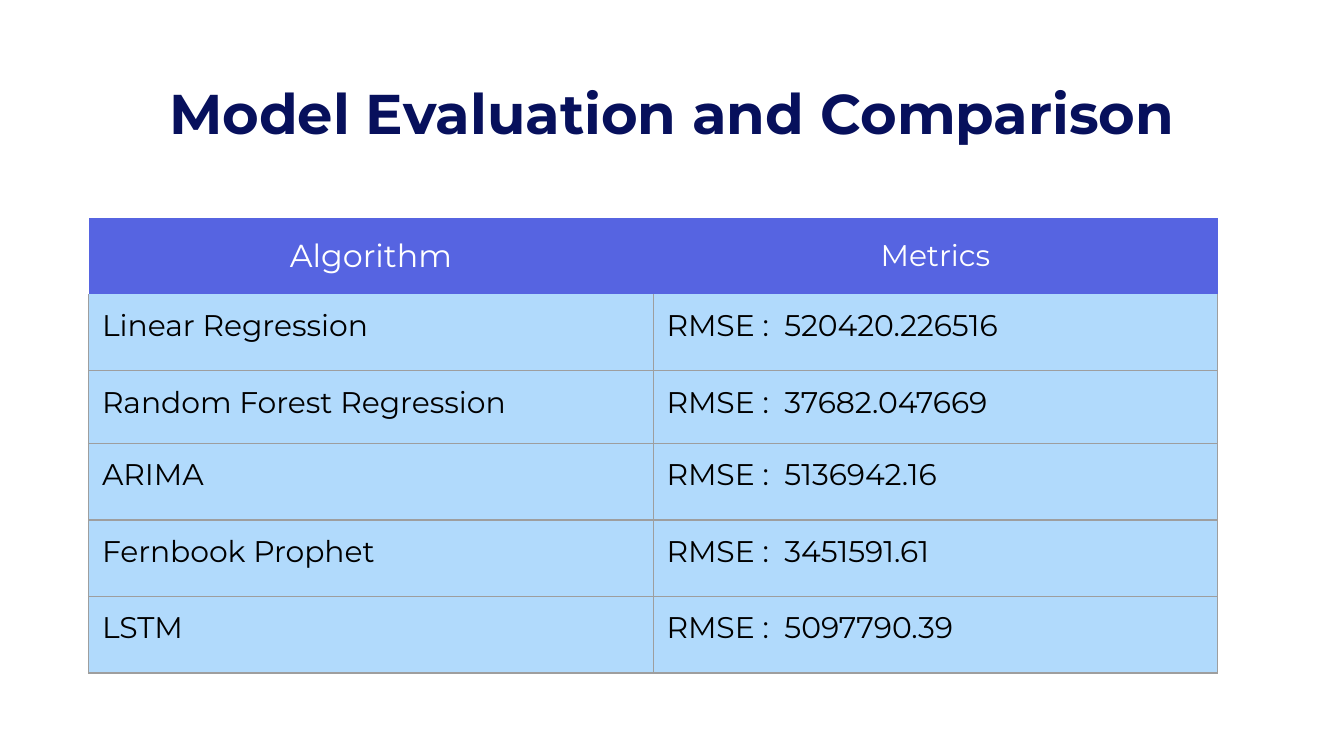
from dataclasses import dataclass

from lxml.etree import SubElement
from pptx import Presentation
from pptx.dml.color import RGBColor
from pptx.enum.text import MSO_ANCHOR, MSO_AUTO_SIZE, PP_ALIGN
from pptx.oxml.ns import qn
from pptx.util import Inches, Pt


@dataclass(frozen=True)
class Theme:
    face: str = "Montserrat"
    navy: str = "07105C"
    head: str = "5664E1"
    body: str = "B1DAFC"
    rule: str = "9E9E9E"
    white: str = "FFFFFF"
    black: str = "000000"
    title: int = 30
    first: int = 17
    text: int = 16
    line: float = 0.75
    pad: float = 0.1


THEME = Theme()
WIDE = 10
HIGH = WIDE * 9 / 16
HEADS = [("Algorithm", THEME.first), ("Metrics", THEME.text)]
SCORES = [
    ("Linear Regression", "520420.226516"),
    ("Random Forest Regression", "37682.047669"),
    ("ARIMA", "5136942.16"),
    ("Fernbook Prophet", "3451591.61"),
    ("LSTM", "5097790.39"),
]
ROWS = [0.57, 0.57, 0.54, 0.57, 0.57, 0.57]


def style(para, size, color, bold=False, align=PP_ALIGN.LEFT):
    para.alignment = align
    font = para.font
    font.name, font.size, font.bold = THEME.face, Pt(size), bold
    font.color.rgb = RGBColor.from_string(color)


def pad(box):
    box.margin_left = box.margin_right = Inches(THEME.pad)
    box.margin_top = box.margin_bottom = Inches(THEME.pad)


def edge(cell, shown):
    """Draw or hide each side of a cell; lines must precede the fill."""
    props = cell._tc.get_or_add_tcPr()
    for side in "LRTB":
        line = SubElement(props, qn(f"a:ln{side}"), w=str(Pt(THEME.line)))
        if side in shown:
            fill = SubElement(line, qn("a:solidFill"))
            SubElement(fill, qn("a:srgbClr"), val=THEME.rule)
        else:
            SubElement(line, qn("a:noFill"))


def put_cell(cell, text, size, color, fill, shown, align, anchor):
    edge(cell, shown)
    cell.fill.solid()
    cell.fill.fore_color.rgb = RGBColor.from_string(fill)
    pad(cell)
    cell.vertical_anchor = anchor
    cell.text = text
    style(cell.text_frame.paragraphs[0], size, color, align=align)


def put_title(slide, box, text):
    title = slide.shapes.title
    title.left, title.top, title.width, title.height = map(Inches, box)
    frame = title.text_frame
    frame.text = text
    frame.word_wrap, frame.auto_size = True, MSO_AUTO_SIZE.NONE
    frame.vertical_anchor = MSO_ANCHOR.TOP
    pad(frame)
    style(frame.paragraphs[0], THEME.title, THEME.navy, True, PP_ALIGN.CENTER)


def put_table(slide, box):
    grid = slide.shapes.add_table(len(ROWS), len(HEADS), *map(Inches, box)).table
    grid.first_row = grid.horz_banding = False
    for col in grid.columns:
        col.width = Inches(box[2] / len(HEADS))
    for row, high in zip(grid.rows, ROWS):
        row.height = Inches(high)

    # Header row
    for c, (text, size) in enumerate(HEADS):
        put_cell(grid.cell(0, c), text, size, THEME.white, THEME.head, "",
                 PP_ALIGN.CENTER, MSO_ANCHOR.MIDDLE)

    # One row for each model
    for r, (name, score) in enumerate(SCORES, 1):
        shown = "LRB" if r == 1 else "LRTB"
        for c, text in enumerate((name, f"RMSE :  {score}")):
            put_cell(grid.cell(r, c), text, THEME.text, THEME.black,
                     THEME.body, shown, PP_ALIGN.LEFT, MSO_ANCHOR.TOP)


def main():
    deck = Presentation()
    deck.slide_width, deck.slide_height = Inches(WIDE), Inches(HIGH)
    slide = deck.slides.add_slide(deck.slide_layouts[5])
    # Title and table boxes as shares of the slide
    put_title(slide, (0.034 * WIDE, 0.086 * HIGH, 0.932 * WIDE, 0.112 * HIGH),
              "Model Evaluation and Comparison")
    put_table(slide, (0.066 * WIDE, 0.288 * HIGH, 0.84 * WIDE, sum(ROWS)))
    deck.save("out.pptx")


if __name__ == "__main__":
    main()
